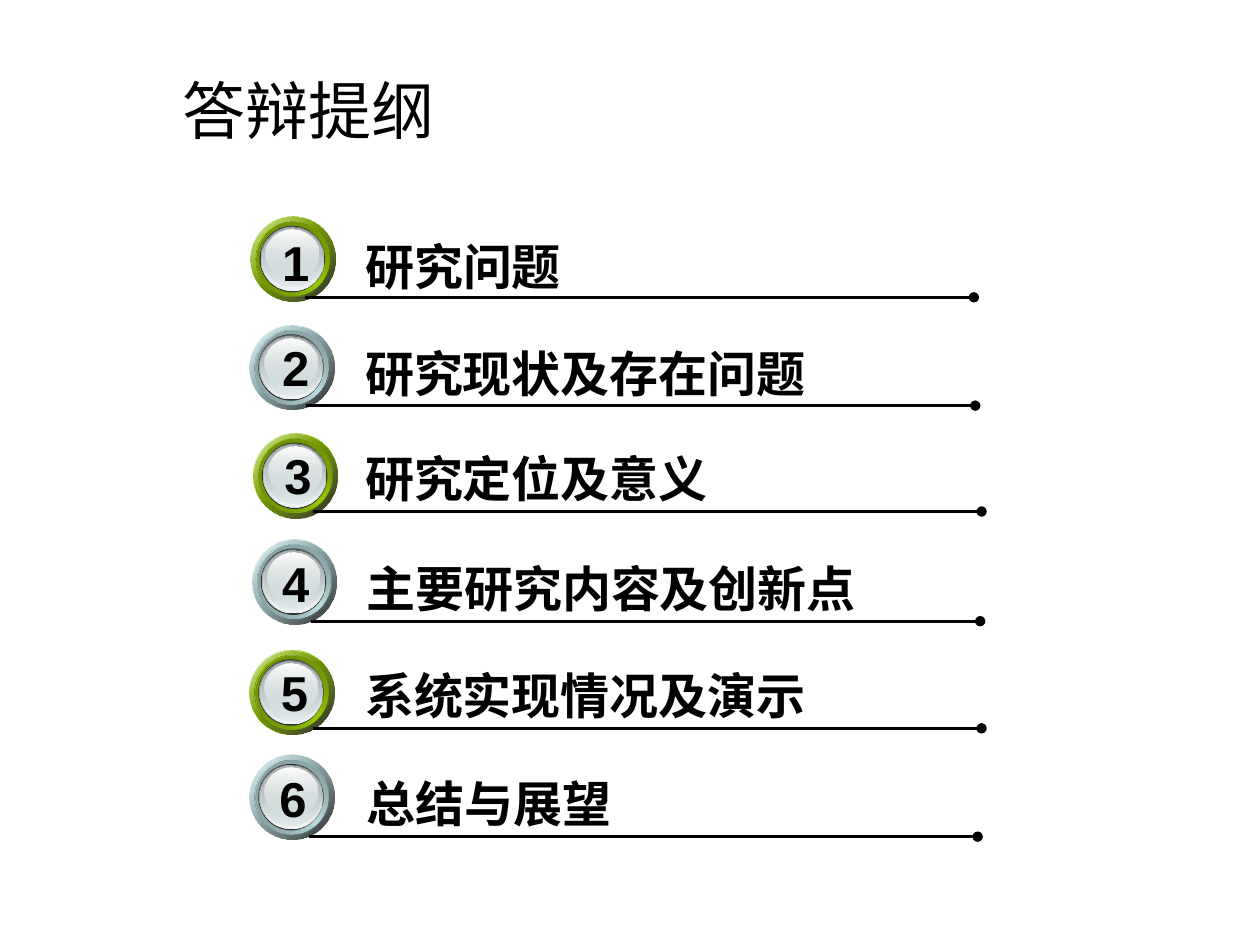
from collections import namedtuple

from lxml import etree
from pptx import Presentation
from pptx.dml.color import RGBColor
from pptx.enum.shapes import MSO_CONNECTOR, MSO_SHAPE
from pptx.enum.text import MSO_ANCHOR, MSO_AUTO_SIZE, PP_ALIGN
from pptx.oxml.ns import qn
from pptx.util import Pt

OVAL = MSO_SHAPE.OVAL
STRAIGHT = MSO_CONNECTOR.STRAIGHT
LEFT, CENTER = PP_ALIGN.LEFT, PP_ALIGN.CENTER
MIDDLE = MSO_ANCHOR.MIDDLE
NO_RESIZE, GROW = MSO_AUTO_SIZE.NONE, MSO_AUTO_SIZE.SHAPE_TO_FIT_TEXT

THEME = {
    "text": RGBColor.from_string("000000"),
    "white": "FFFFFF",
    "shade": "000000",
    "groove": "333333",
    "face": "D6E1E2",
    "face_light": "F1F5F5",
    "face_mid": "AAB2B3",
    "face_dark": "636869",
    # Badge rims: main colour, dark edge, softer dark edge
    "rims": [("99CC00", "536E00", "618200"), ("BBE0E3", "65797B", "778E90")],
    "latin_font": "Arial",
    "label_font": "Noto Sans CJK SC",
    "title_size": Pt(36),
    "item_size": Pt(28),
    "line_width": Pt(1.5),
}
BADGE_SIZE = 48.4
NUMBER_WIDTH = 26.6
TEXT_HEIGHT = 41
LINE_LENGTH = 382.3

# Positions are (left, top) in points
Item = namedtuple("Item", "text badge number label label_width line")
ITEMS = [
    Item("研究问题", (143.3, 123.8), (154.1, 129.6), (201.6, 131.8), 289.4, (174.2, 169.9)),
    Item("研究现状及存在问题", (142.6, 185.8), (154.1, 189.4), (201.6, 193), 299.5, (175, 231.8)),
    Item("研究定位及意义", (144.7, 247.7), (155.5, 251.3), (201.6, 252.7), 299.5, (178.6, 292.3)),
    Item("主要研究内容及创新点", (144, 308.2), (154.1, 312.5), (202.3, 315.4), 360, (177.8, 355)),
    Item("系统实现情况及演示", (142.6, 371.5), (153.4, 375.1), (201.6, 376.6), 299.5, (178.6, 416.2)),
    Item("总结与展望", (142.6, 431.3), (152.6, 435.6), (202.3, 438.5), 360, (176.4, 478.1)),
]


def add_disc(shapes, left, top, width, height, stops, angle):
    """Add a borderless ellipse; stops are (position %, colour, opacity %)."""
    disc = shapes.add_shape(OVAL, Pt(left), Pt(top), Pt(width), Pt(height))
    disc.shadow.inherit = False
    disc.line.fill.background()
    if len(stops) == 1:
        disc.fill.solid()
        disc.fill.fore_color.rgb = RGBColor.from_string(stops[0][1])
        return
    disc.fill.gradient()
    gradient = disc._element.spPr.find(qn("a:gradFill"))
    stop_list = gradient.find(qn("a:gsLst"))
    for old_stop in list(stop_list):
        stop_list.remove(old_stop)
    for position, color, opacity in stops:
        stop = etree.SubElement(stop_list, qn("a:gs"), pos=str(position * 1000))
        value = etree.SubElement(stop, qn("a:srgbClr"), val=color)
        if opacity < 100:
            etree.SubElement(value, qn("a:alpha"), val=str(opacity * 1000))
    gradient.find(qn("a:lin")).set("ang", str(angle * 60000))


def add_text(shapes, text, position, width, font_name, alignment, wrap):
    """Add a bold one-line text box."""
    left, top = position
    box = shapes.add_textbox(Pt(left), Pt(top), Pt(width), Pt(TEXT_HEIGHT))
    frame = box.text_frame
    frame.word_wrap = wrap
    frame.auto_size = GROW
    paragraph = frame.paragraphs[0]
    paragraph.text = text
    paragraph.alignment = alignment
    font = paragraph.font
    font.name = font_name
    font.size = THEME["item_size"]
    font.bold = True
    font.color.rgb = THEME["text"]
    latin = font._element.find(qn("a:latin"))
    latin.addnext(etree.Element(qn("a:ea"), typeface=THEME["label_font"]))


presentation = Presentation()
presentation.slide_width, presentation.slide_height = Pt(720), Pt(540)
slide = presentation.slides.add_slide(presentation.slide_layouts[5])

# Title
title = slide.shapes.title
title.left, title.top, title.width, title.height = Pt(64.8), Pt(40.3), Pt(622), Pt(44.6)
title.text_frame.vertical_anchor = MIDDLE
title.text_frame.auto_size = NO_RESIZE
paragraph = title.text_frame.paragraphs[0]
paragraph.text = "答辩提纲"
paragraph.alignment = LEFT
paragraph._p.get_or_add_pPr().set("marL", str(Pt(32)))
paragraph.font.name = THEME["latin_font"]
paragraph.font.size = THEME["title_size"]
paragraph.font.color.rgb = THEME["text"]

# Outline rows with alternating badge colours
white, face = THEME["white"], THEME["face"]
for index, item in enumerate(ITEMS):
    rim, rim_dark, rim_soft = THEME["rims"][index % 2]

    # Badge layers from back to front: inset, size, stops, angle
    layers = [
        (0, 0, BADGE_SIZE, BADGE_SIZE, [(0, white, 100), (50, rim, 100), (100, white, 100)], 45),
        (0, 0, BADGE_SIZE, BADGE_SIZE, [(0, rim, 32), (100, THEME["shade"], 90)], 45),
        (3, 3, 42, 42.4, [(0, rim_dark, 100), (50, rim, 100), (100, rim_dark, 100)], 315),
        (3.2, 3, 42, 42.4, [(0, rim_soft, 100), (100, rim, 0)], 45),
        (5, 5.2, 37.4, 38, [(0, THEME["groove"], 100)], 0),
        (5.6, 5.6, 36.4, 36.7, [(0, THEME["face_dark"], 100), (100, face, 100)], 90),
        (6.1, 6, 35.3, 36, [(0, face, 0), (100, THEME["face_light"], 100)], 90),
        (6.5, 6.4, 33.8, 33.8, [(0, THEME["face_mid"], 100), (100, face, 48)], 90),
        (8.6, 7.4, 30.2, 27.4, [(0, white, 100), (100, face, 38)], 90),
    ]
    badge = slide.shapes.add_group_shape()
    left, top = item.badge
    for inset_x, inset_y, width, height, stops, angle in layers:
        add_disc(badge.shapes, left + inset_x, top + inset_y, width, height, stops, angle)
    add_text(badge.shapes, str(index + 1), item.number, NUMBER_WIDTH,
             THEME["latin_font"], CENTER, False)

    # Label
    add_text(slide.shapes, item.text, item.label, item.label_width,
             THEME["label_font"], LEFT, True)

    # Underline ending in a dot
    x, y = item.line
    underline = slide.shapes.add_connector(STRAIGHT, Pt(x), Pt(y), Pt(x + LINE_LENGTH), Pt(y))
    underline.line.color.rgb = THEME["text"]
    underline.line.width = THEME["line_width"]
    etree.SubElement(underline.line._get_or_add_ln(), qn("a:tailEnd"), type="oval")
    etree.SubElement(underline._element.spPr, qn("a:effectLst"))

presentation.save("out.pptx")
